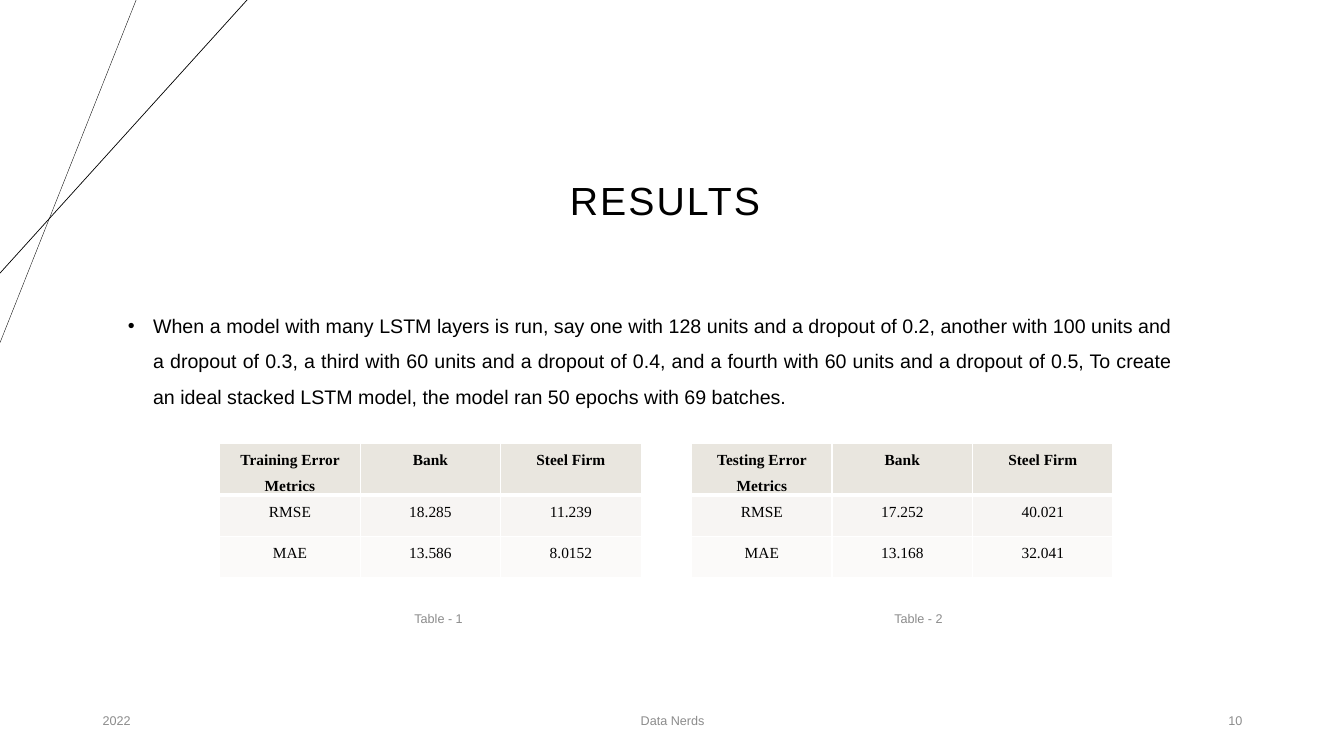
"""Build the results slide with two error-metric tables."""
from dataclasses import dataclass, field
from typing import Any

from lxml import etree
from pptx import Presentation
from pptx.dml.color import RGBColor
from pptx.enum.shapes import MSO_CONNECTOR
from pptx.enum.text import MSO_ANCHOR, PP_ALIGN
from pptx.oxml.ns import qn
from pptx.util import Inches, Pt

STRAIGHT = MSO_CONNECTOR.STRAIGHT
TOP, MIDDLE = MSO_ANCHOR.TOP, MSO_ANCHOR.MIDDLE
LEFT, CENTER, RIGHT, JUSTIFY = PP_ALIGN.LEFT, PP_ALIGN.CENTER, PP_ALIGN.RIGHT, PP_ALIGN.JUSTIFY

SLIDE_WIDTH, SLIDE_HEIGHT = Inches(13.33), Inches(7.5)
COLORS = {"ink": "000000", "muted": "8C8C8C", "border": "FFFFFF"}
ROW_FILLS = ("E9E6DF", "F7F5F3", "FBFAF9")
ROW_HEIGHTS = (6.8, 5.47, 5.47)
TABLE_TOP, TABLE_WIDTH = 58.67, 31.36
FOOTER_TOP, CAPTION_TOP, SMALL_HEIGHT = 92.67, 79.2, 5.33
SIDE_WIDTH, MIDDLE_WIDTH = 22.51, 33.76
LOOSE = {"line_spacing": 1.5, "space_after": Pt(8)}


@dataclass(frozen=True)
class TextBlock:
    """Text with its place in percent of the slide and its format."""
    text: str
    left: float
    top: float
    width: float
    height: float = SMALL_HEIGHT
    align: Any = CENTER
    anchor: Any = MIDDLE
    size: float = 9
    color: str = "muted"
    tracking: int = 0
    bullet: str = ""
    spacing: dict[str, Any] = field(default_factory=dict)


@dataclass(frozen=True)
class CornerLine:
    """Line from the top edge to the left edge, in percent of the slide."""
    start_x: float
    end_y: float
    weight: float


@dataclass(frozen=True)
class MetricTable:
    """Rows of a table and its left edge in percent of the slide."""
    left: float
    rows: tuple[tuple[str, ...], ...]


CORNER_LINES = (CornerLine(10.13, 45.33, 0.25), CornerLine(18.38, 36.13, 0.5))
TABLES = (
    MetricTable(16.35, (("Training Error Metrics", "Bank", "Steel Firm"),
                        ("RMSE", "18.285", "11.239"),
                        ("MAE", "13.586", "8.0152"))),
    MetricTable(51.46, (("Testing Error Metrics", "Bank", "Steel Firm"),
                        ("RMSE", "17.252", "40.021"),
                        ("MAE", "13.168", "32.041"))),
)
BODY = (
    "When a model with many LSTM layers is run, say one with 128 units and a dropout of 0.2, "
    "another with 100 units and a dropout of 0.3, a third with 60 units and a dropout of 0.4, "
    "and a fourth with 60 units and a dropout of 0.5, To create an ideal stacked LSTM model, "
    "the model ran 50 epochs with 69 batches."
)
TEXTS = (
    TextBlock("RESULTS", 14.93, 17.2, 69.09, 19.33, size=28, color="ink", tracking=150,
              spacing={"line_spacing": 0.9}),
    TextBlock(BODY, 8.4, 39.33, 79.6, 16.53, JUSTIFY, TOP, 14, "ink", bullet="•",
              spacing={**LOOSE, "space_before": Pt(10)}),
    TextBlock("Table - 1", 15.75, CAPTION_TOP, MIDDLE_WIDTH),
    TextBlock("Table - 2", 51.46, CAPTION_TOP, MIDDLE_WIDTH),
    TextBlock("2022", 6.9, FOOTER_TOP, SIDE_WIDTH, align=LEFT),
    TextBlock("Data Nerds", 33.16, FOOTER_TOP, MIDDLE_WIDTH),
    TextBlock("10", 70.67, FOOTER_TOP, SIDE_WIDTH, align=RIGHT),
)


def across(percent: float) -> int:
    """Return a share of the slide's width."""
    return round(SLIDE_WIDTH * percent / 100)


def down(percent: float) -> int:
    """Return a share of the slide's height."""
    return round(SLIDE_HEIGHT * percent / 100)


def apply(target: Any, values: dict[str, Any]) -> None:
    """Set each named attribute of the target."""
    for name, value in values.items():
        setattr(target, name, value)


def write(frame: Any, text: str, color: str, font: dict[str, Any], layout: dict[str, Any]) -> Any:
    """Write one formatted paragraph and return it."""
    para = frame.paragraphs[0]
    apply(para, layout)
    span = para.add_run()
    span.text = text
    apply(span.font, font)
    span.font.color.rgb = RGBColor.from_string(COLORS[color])
    return para


def draw_line(page: Any, line: CornerLine) -> None:
    """Draw a thin line across the top left corner."""
    connector = page.shapes.add_connector(STRAIGHT, across(line.start_x), 0, 0, down(line.end_y))
    connector.line.width = Pt(line.weight)
    connector.line.color.rgb = RGBColor.from_string(COLORS["ink"])
    etree.SubElement(connector._element.spPr, qn("a:effectLst"))


def draw_text(page: Any, block: TextBlock) -> None:
    """Draw a text box with an optional bullet and letter spacing."""
    box = page.shapes.add_textbox(across(block.left), down(block.top),
                                  across(block.width), down(block.height))
    apply(box.text_frame, {"word_wrap": True, "vertical_anchor": block.anchor})
    para = write(box.text_frame, block.text, block.color,
                 {"name": "Arial", "size": Pt(block.size)},
                 {"alignment": block.align, **block.spacing})
    if block.tracking:
        para.runs[0].font._element.set("spc", str(block.tracking))
    if block.bullet:
        properties = para._p.get_or_add_pPr()
        properties.set("marL", str(Inches(0.3)))
        properties.set("indent", str(Inches(-0.25)))
        etree.SubElement(properties, qn("a:buFont"), typeface="Arial")
        etree.SubElement(properties, qn("a:buChar"), char=block.bullet)


def draw_borders(cell: Any, weights: dict[str, float]) -> None:
    """Give each side of a cell a white border."""
    properties = cell._tc.get_or_add_tcPr()
    for side, weight in weights.items():
        border = etree.SubElement(properties, qn(f"a:ln{side}"), w=str(Pt(weight)))
        fill = etree.SubElement(border, qn("a:solidFill"))
        etree.SubElement(fill, qn("a:srgbClr"), val=COLORS["border"])


def draw_table(page: Any, metrics: MetricTable) -> None:
    """Draw a table with a bold header row."""
    table = page.shapes.add_table(len(metrics.rows), len(metrics.rows[0]),
                                  across(metrics.left), down(TABLE_TOP),
                                  across(TABLE_WIDTH), down(sum(ROW_HEIGHTS))).table
    apply(table, {"first_row": False, "horz_banding": False})
    for index, (texts, height, fill) in enumerate(zip(metrics.rows, ROW_HEIGHTS, ROW_FILLS)):
        table.rows[index].height = down(height)
        for column, text in enumerate(texts):
            cell = table.cell(index, column)
            apply(cell, {"margin_left": Inches(0.07), "margin_right": Inches(0.07),
                         "margin_top": 0, "margin_bottom": 0})
            draw_borders(cell, {"L": 1, "R": 1, "T": 3 if index == 1 else 1,
                                "B": 3 if index == 0 else 1})
            cell.fill.solid()
            cell.fill.fore_color.rgb = RGBColor.from_string(fill)
            write(cell.text_frame, text, "ink",
                  {"name": "Times New Roman", "size": Pt(11), "bold": index == 0},
                  {"alignment": CENTER, **LOOSE})


def main() -> None:
    """Build and save the deck."""
    deck = Presentation()
    apply(deck, {"slide_width": SLIDE_WIDTH, "slide_height": SLIDE_HEIGHT})
    page = deck.slides.add_slide(deck.slide_layouts[6])
    for line in CORNER_LINES:
        draw_line(page, line)
    for metrics in TABLES:
        draw_table(page, metrics)
    for block in TEXTS:
        draw_text(page, block)
    deck.save("out.pptx")


if __name__ == "__main__":
    main()
